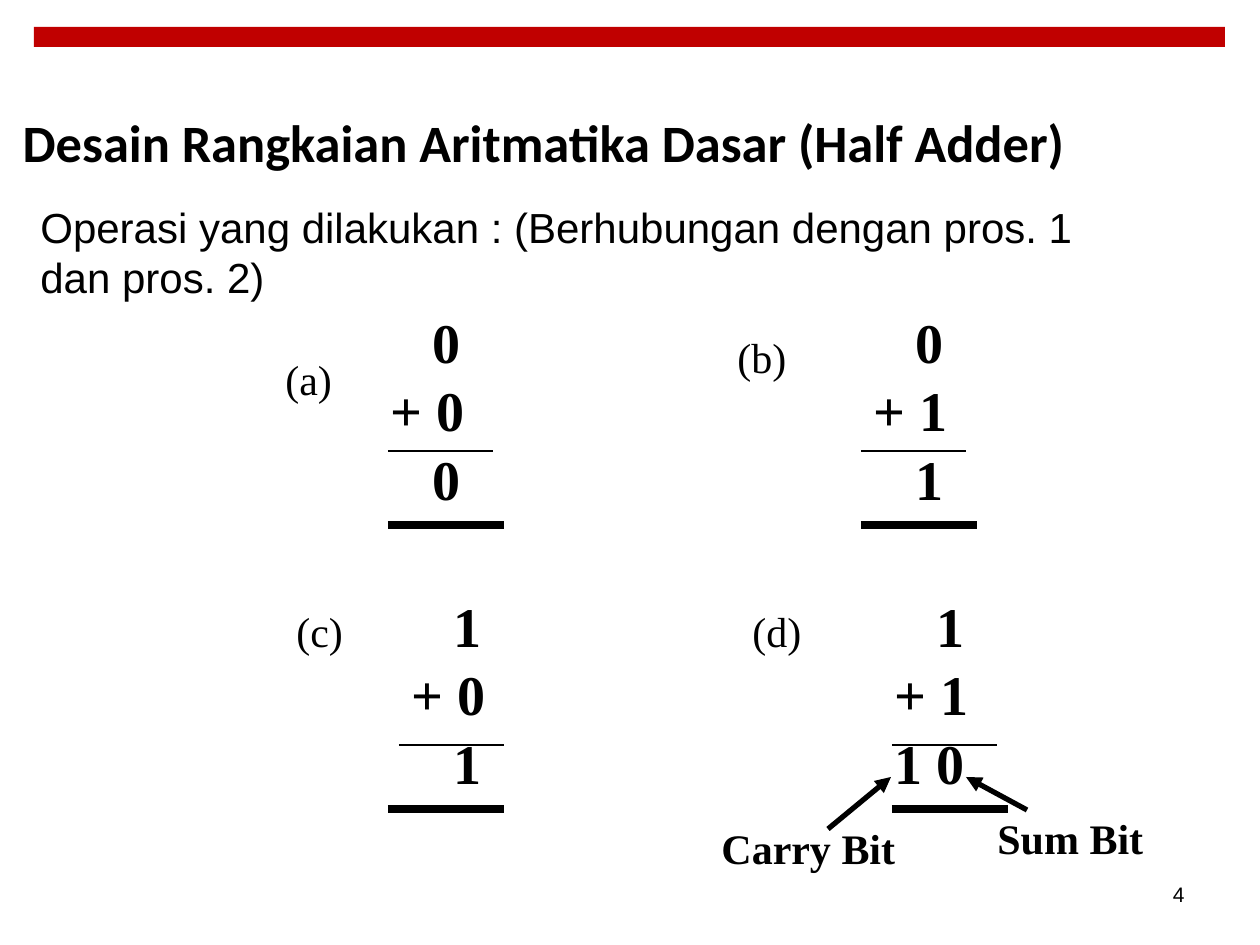
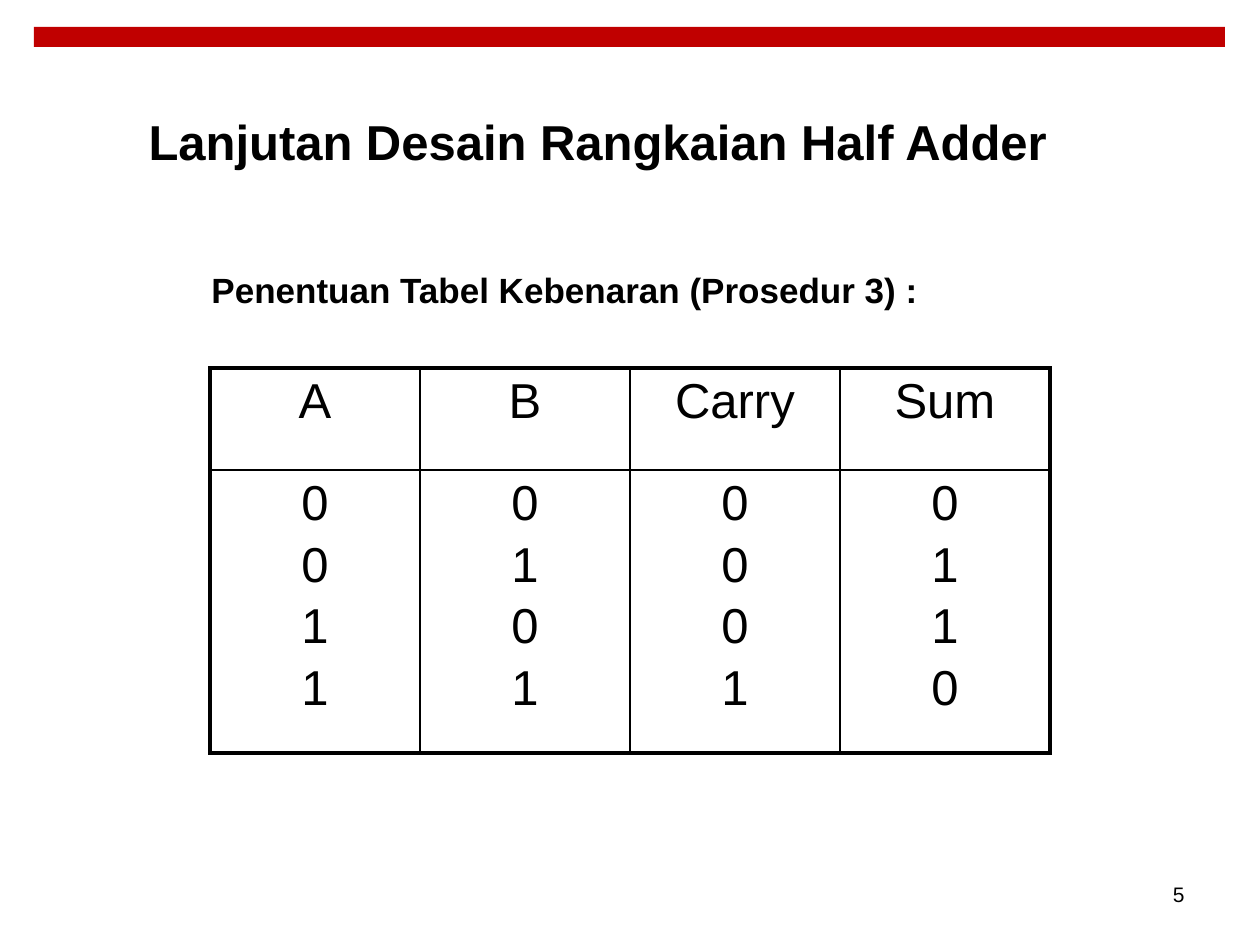
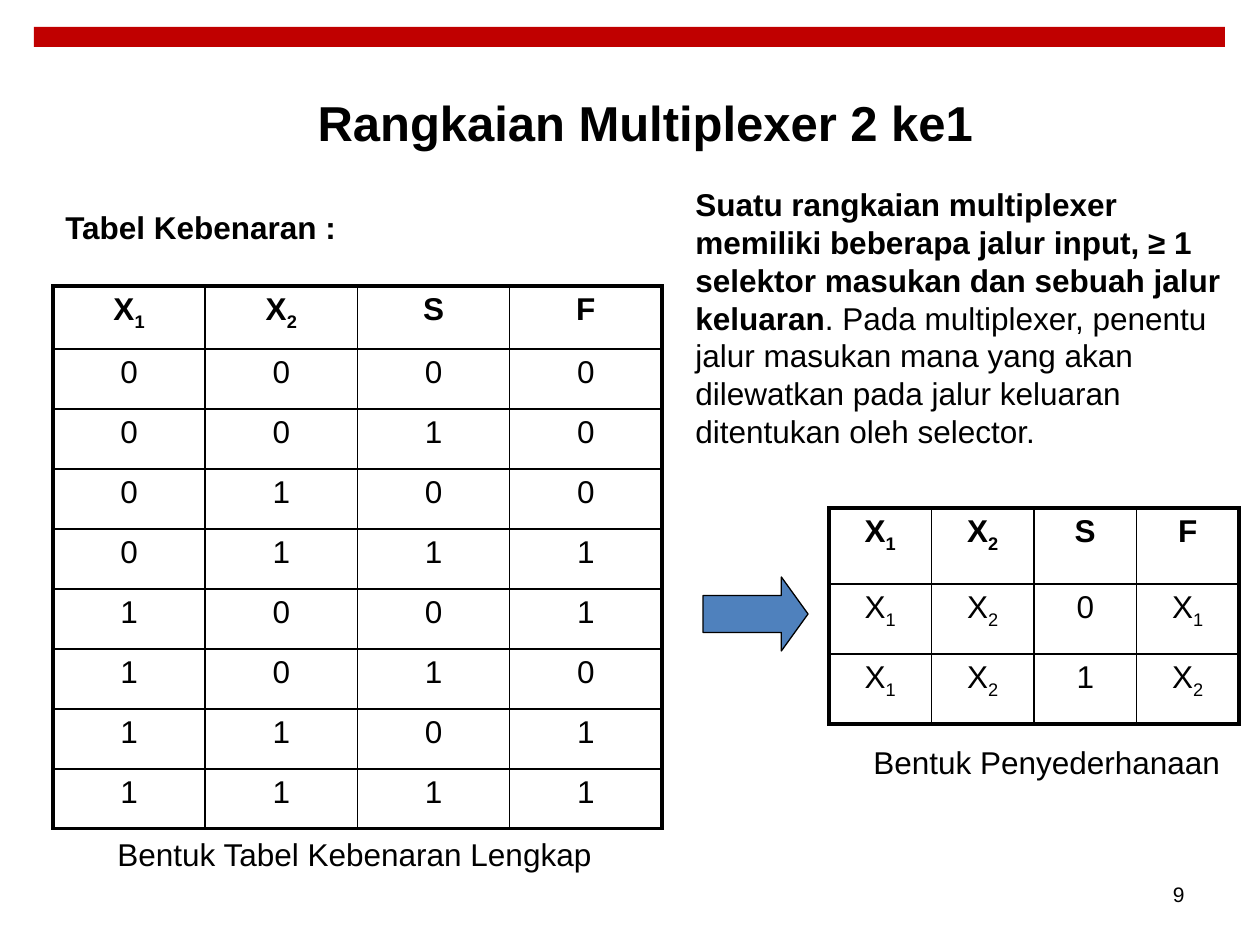
from lxml.etree import SubElement
from pptx import Presentation
from pptx.dml.color import RGBColor
from pptx.enum.shapes import MSO_CONNECTOR, MSO_SHAPE
from pptx.enum.text import MSO_ANCHOR, PP_ALIGN
from pptx.oxml.ns import qn
from pptx.util import Emu, Pt

COLOURS = {"ink": "000000", "band": "C00000", "arrow": "4F81BD"}
SANS, SERIF, HEADING = "Arial", "Times New Roman", "Calibri"
EMU_PER_PX = 914400 / 126
TITLE_ONLY = 5
MASTER_BAND_ID = "20"


def px(length):
    return Emu(round(length * EMU_PER_PX))


def colour(name):
    return RGBColor.from_string(COLOURS[name])


# Text helpers
def style_run(run, size, font=SANS, bold=False):
    run.font.size = Pt(size)
    run.font.name = font
    run.font.bold = bold
    run.font.color.rgb = colour("ink")


def fill_frame(frame, lines, size, font=SANS, bold=False, anchor=MSO_ANCHOR.TOP,
               align=PP_ALIGN.LEFT):
    frame.text = "\n".join(lines)
    frame.word_wrap = True
    frame.vertical_anchor = anchor
    for paragraph in frame.paragraphs:
        paragraph.alignment = align
        for run in paragraph.runs:
            style_run(run, size, font, bold)


def add_text(slide, box, lines, size, **look):
    frame = slide.shapes.add_textbox(*map(px, box)).text_frame
    fill_frame(frame, lines, size, **look)
    return frame


# Lines and arrows
def add_line(slide, start, end, width, arrowhead=False):
    line = slide.shapes.add_connector(MSO_CONNECTOR.STRAIGHT, *map(px, start + end))
    line.line.color.rgb = colour("ink")
    line.line.width = Pt(width)
    properties = line.element.spPr
    if arrowhead:
        SubElement(properties.find(qn("a:ln")), qn("a:tailEnd"), type="triangle")
    SubElement(properties, qn("a:effectLst"))


# Shared parts: red band on the master, title and page number on each slide
def add_master_band(prs, slide):
    band = slide.shapes.add_shape(MSO_SHAPE.RECTANGLE, *map(px, (34, 27, 1191, 20)))
    band.shadow.inherit = False
    band.fill.solid()
    band.fill.fore_color.rgb = colour("band")
    band.line.fill.background()
    band.element.nvSpPr.cNvPr.set("id", MASTER_BAND_ID)
    prs.slide_master.element.cSld.spTree.append(band.element)


def add_slide(prs, title_text, title_box, page, size=28, font=SANS,
              anchor=MSO_ANCHOR.TOP):
    slide = prs.slides.add_slide(prs.slide_layouts[TITLE_ONLY])
    title = slide.shapes.title
    title.left, title.top, title.width, title.height = map(px, title_box)
    fill_frame(title.text_frame, [title_text], size, font=font, bold=True, anchor=anchor)
    add_text(slide, (903, 861, 294, 66), [page], 12,
             anchor=MSO_ANCHOR.MIDDLE, align=PP_ALIGN.RIGHT)
    return slide


# Tables
def add_cell_borders(cell, row, column, last_row, last_column):
    outer_sides = {"L": column == 0, "R": column == last_column,
                   "T": row == 0, "B": row == last_row}
    properties = cell._tc.get_or_add_tcPr()
    for position, (side, outer) in enumerate(outer_sides.items()):
        width = Pt(2.25 if outer else 1)
        border = SubElement(properties, qn("a:ln" + side), w=str(width))
        fill = SubElement(border, qn("a:solidFill"))
        SubElement(fill, qn("a:srgbClr"), val=COLOURS["ink"])
        properties.insert(position, border)


def fill_cell(cell, content, size, bold):
    """Writes one paragraph per line; a digit after a letter is a subscript."""
    cell.text = content
    for number, paragraph in enumerate(cell.text_frame.paragraphs):
        paragraph.alignment = PP_ALIGN.CENTER
        if number:
            paragraph.space_before = Pt(4)
        text = paragraph.text
        if text[0] == "X":
            paragraph.text = text[0]
            index = paragraph.add_run()
            index.text = text[1:]
            index.font._element.set("baseline", "-25000")
        for run in paragraph.runs:
            style_run(run, size, bold=bold)


def add_truth_table(slide, box, row_heights, rows, size, bold_header=False):
    left, top, width = box
    column_count = len(rows[0])
    table = slide.shapes.add_table(len(rows), column_count, px(left), px(top),
                                   px(width), px(sum(row_heights))).table
    table.first_row = table.horz_banding = False
    for column in table.columns:
        column.width = px(width / column_count)
    for r, (height, values) in enumerate(zip(row_heights, rows)):
        table.rows[r].height = px(height)
        for c, value in enumerate(values):
            cell = table.cell(r, c)
            fill_cell(cell, value, size, bold_header and r == 0)
            cell.fill.background()
            add_cell_borders(cell, r, c, len(rows) - 1, column_count - 1)


# Slide: the four binary additions
def add_addition(slide, origin, label, rows, label_at, rule_at, total_at):
    left, top = origin

    def place(offset):
        return left + offset[0], top + offset[1]

    frame = add_text(slide, (left, top, 126, 200), rows, 32, font=SERIF, bold=True)
    for number, paragraph in enumerate(frame.paragraphs):
        paragraph.line_spacing = 0.6
        if number:
            paragraph.space_before = Pt(16)
        if len(rows[number]) == 1:
            paragraph._p.get_or_add_pPr().set("marL", str(px(42)))
    add_text(slide, place(label_at) + (84, 63), [label], 24, font=SERIF)
    for (x, y), length, width in ((place(rule_at), 105, 0.75),
                                  (place(total_at), 116, 4.5)):
        add_line(slide, (x, y), (x + length, y), width)


def build_half_adder(prs):
    slide = add_slide(prs, "Desain Rangkaian Aritmatika Dasar (Half Adder)",
                      (10, 63, 1239, 158), "4", size=30, font=HEADING,
                      anchor=MSO_ANCHOR.MIDDLE)
    add_text(slide, (28, 195, 1168, 115),
             ["Operasi yang dilakukan : (Berhubungan dengan pros. 1", "dan pros. 2)"], 24)
    additions = (
        ((378, 325), "(a)", ("0", "+ 0", "0"), (-105, 22), (10, 126), (10, 200)),
        ((861, 325), "(b)", ("0", "+ 1", "1"), (-136, 0), (0, 126), (0, 200)),
        ((399, 609), "(c)", ("1", "+ 0", "1"), (-115, -10), (0, 136), (-11, 200)),
        ((882, 609), "(d)", ("1", "+ 1", "1 0"), (-142, -10), (10, 136), (10, 200)),
    )
    for addition in additions:
        add_addition(slide, *addition)
    # Names of the two result bits
    for name, corner, start, end in (
            ("Carry Bit", (709, 816), (828, 829), (891, 777)),
            ("Sum Bit", (985, 806), (1027, 810), (966, 777))):
        add_text(slide, corner + (210, 63), [name], 24, font=SERIF, bold=True)
        add_line(slide, start, end, 3, arrowhead=True)
    return slide


# Slide: truth table of the half adder
def build_half_adder_table(prs):
    slide = add_slide(prs, "Lanjutan Desain Rangkaian Half Adder",
                      (136, 105, 941, 72), "5")
    add_text(slide, (199, 262, 740, 54),
             ["Penentuan Tabel Kebenaran (Prosedur 3) :"], 20, bold=True)
    columns = {"A": "0011", "B": "0101", "Carry": "0001", "Sum": "0110"}
    add_truth_table(slide, (210, 368, 840), (102, 283),
                    (list(columns), ["\n".join(bits) for bits in columns.values()]), 28)


# Slide: multiplexer with full and reduced truth tables
def build_multiplexer(prs):
    slide = add_slide(prs, "Rangkaian Multiplexer 2 ke1", (305, 86, 690, 72), "9")
    header = ("X1", "X2", "S", "F")
    full_rows = ("0000", "0010", "0100", "0111", "1001", "1010", "1101", "1111")
    add_truth_table(slide, (53, 286, 609), [63] + [60] * len(full_rows),
                    (header, *full_rows), 18, bold_header=True)
    add_truth_table(slide, (829, 508, 410), (76, 70, 70),
                    (header, ("X1", "X2", "0", "X1"), ("X1", "X2", "1", "X2")),
                    18, bold_header=True)
    add_text(slide, (53, 202, 310, 50), ["Tabel Kebenaran :"], 18, bold=True)
    add_text(slide, (105, 829, 510, 50), ["Bentuk Tabel Kebenaran Lengkap"], 18)
    add_text(slide, (861, 737, 380, 50), ["Bentuk Penyederhanaan"], 18)

    # Arrow from the full table to the reduced one
    arrow = slide.shapes.add_shape(MSO_SHAPE.RIGHT_ARROW, *map(px, (703, 577, 105, 74)))
    arrow.adjustments[1] = 0.36
    arrow.shadow.inherit = False
    arrow.fill.solid()
    arrow.fill.fore_color.rgb = colour("arrow")
    arrow.line.color.rgb = colour("ink")
    arrow.line.width = Pt(0.75)

    # Explanation
    explanation = add_text(
        slide, (683, 179, 557, 284),
        ["Suatu rangkaian multiplexer memiliki beberapa jalur input, ≥ 1 selektor "
         "masukan dan sebuah jalur keluaran"], 18, bold=True)
    detail = explanation.paragraphs[0].add_run()
    detail.text = (". Pada multiplexer, penentu jalur masukan mana yang akan dilewatkan "
                   "pada jalur keluaran ditentukan oleh selector.")
    style_run(detail, 18)


def main():
    prs = Presentation()
    prs.slide_width, prs.slide_height = px(1260), px(945)
    add_master_band(prs, build_half_adder(prs))
    build_half_adder_table(prs)
    build_multiplexer(prs)
    prs.save("out.pptx")


if __name__ == "__main__":
    main()
